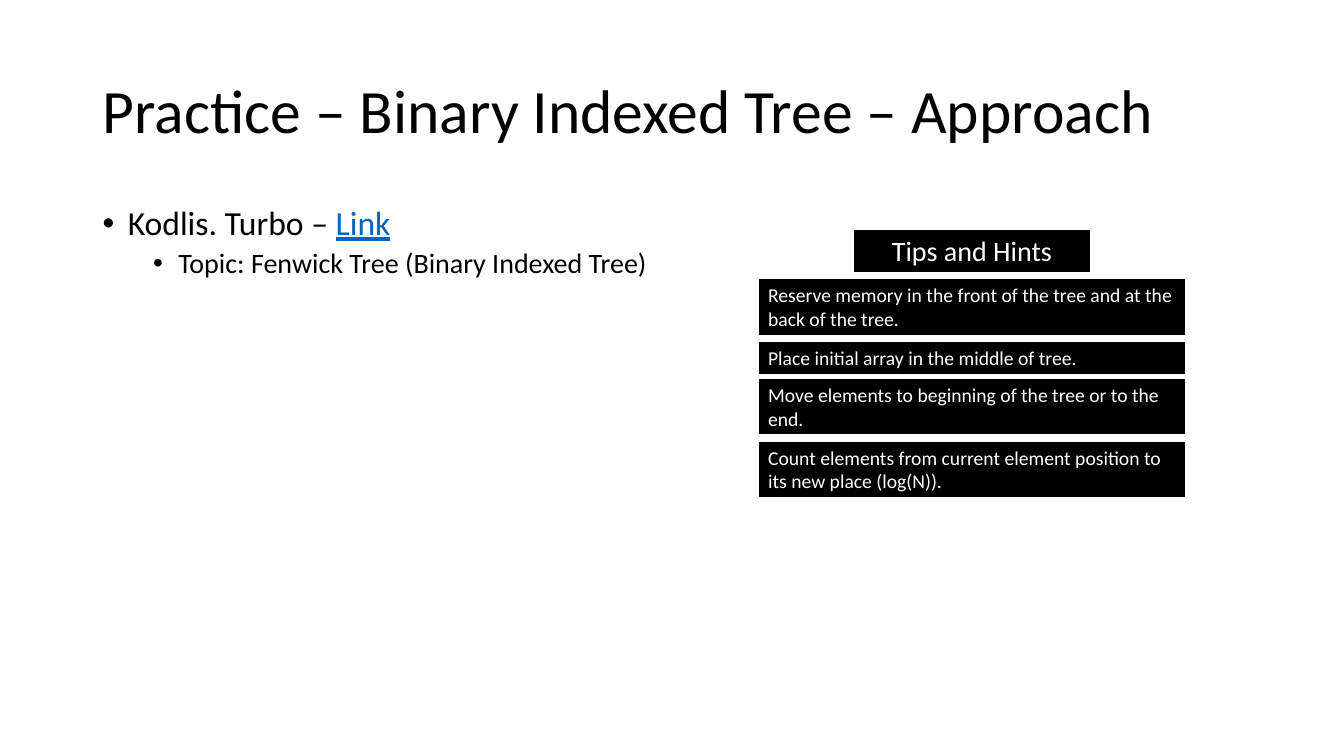
from pptx import Presentation
from pptx.dml.color import RGBColor
from pptx.enum.shapes import MSO_SHAPE as Shape
from pptx.enum.text import MSO_ANCHOR as Anchor, MSO_AUTO_SIZE as AutoSize, PP_ALIGN as Align
from pptx.oxml.ns import qn
from pptx.util import Inches, Pt
from lxml.etree import SubElement

BLACK = RGBColor(0x00, 0x00, 0x00)
WHITE = RGBColor(0xFF, 0xFF, 0xFF)
LINK_BLUE = RGBColor(0x05, 0x63, 0xC1)
FONT = "Calibri"
TITLE_ONLY = 5

# Offset from the top of the panel, height, text
HINTS = [
    (0.49, 0.57, "Reserve memory in the front of the tree and at the back of the tree."),
    (1.11, 0.34, "Place initial array in the middle of tree."),
    (1.48, 0.57, "Move elements to beginning of the tree or to the end."),
    (2.10, 0.57, "Count elements from current element position to its new place (log(N))."),
]


def style_font(font, size, color):
    font.name = FONT
    font.size = Pt(size)
    font.color.rgb = color


def fill_title(title, left, top, width, height):
    title.left, title.top = Inches(left), Inches(top)
    title.width, title.height = Inches(width), Inches(height)
    frame = title.text_frame
    frame.text = "Practice – Binary Indexed Tree – Approach"
    frame.auto_size = AutoSize.NONE
    frame.vertical_anchor = Anchor.MIDDLE
    para = frame.paragraphs[0]
    para.alignment = Align.LEFT
    para.line_spacing = 0.9
    style_font(para.runs[0].font, 44, BLACK)


def format_bullet(para, indent, space_before):
    properties = para._p.get_or_add_pPr()
    properties.set("marL", str(Inches(indent)))
    properties.set("indent", str(Inches(-0.25)))
    SubElement(properties, qn("a:buFont"), typeface="Arial")
    SubElement(properties, qn("a:buChar"), char="•")
    para.line_spacing = 0.9
    para.space_before = Pt(space_before)


def add_problem_list(slide, left, top, width, height):
    box = slide.shapes.add_textbox(Inches(left), Inches(top), Inches(width), Inches(height))
    frame = box.text_frame
    frame.word_wrap = True

    problem = frame.paragraphs[0]
    format_bullet(problem, 0.25, 0)
    for text, color in (("Kodlis. Turbo – ", BLACK), ("Link", LINK_BLUE)):
        span = problem.add_run()
        span.text = text
        style_font(span.font, 24, color)
    span.font.underline = True

    topic = frame.add_paragraph()
    topic.text = "Topic: Fenwick Tree (Binary Indexed Tree)"
    topic.level = 1
    format_bullet(topic, 0.75, 5)
    style_font(topic.runs[0].font, 20, BLACK)


def add_label(slide, left, top, width, height, text, size, alignment):
    box = slide.shapes.add_shape(
        Shape.RECTANGLE, Inches(left), Inches(top), Inches(width), Inches(height))
    box.shadow.inherit = False
    box.fill.solid()
    box.fill.fore_color.rgb = BLACK
    box.line.color.rgb = WHITE
    box.line.width = Pt(1.5)
    frame = box.text_frame
    frame.text = text
    frame.word_wrap = True
    frame.auto_size = AutoSize.SHAPE_TO_FIT_TEXT
    frame.vertical_anchor = Anchor.TOP
    para = frame.paragraphs[0]
    para.alignment = alignment
    style_font(para.runs[0].font, size, WHITE)


def add_hints_panel(slide, left, top, width):
    heading_width = 2.37
    heading_left = left + (width - heading_width) / 2
    add_label(slide, heading_left, top, heading_width, 0.44, "Tips and Hints", 20, Align.CENTER)
    for offset, height, text in HINTS:
        add_label(slide, left, top + offset, width, height, text, 14, Align.LEFT)


def main():
    deck = Presentation()
    deck.slide_width, deck.slide_height = Inches(13.33), Inches(7.5)
    slide = deck.slides.add_slide(deck.slide_layouts[TITLE_ONLY])
    fill_title(slide.shapes.title, 0.92, 0.4, 11.5, 1.45)
    add_problem_list(slide, 0.92, 2, 6.84, 4.76)
    add_hints_panel(slide, 7.52, 2.27, 4.24)
    deck.save("out.pptx")


if __name__ == "__main__":
    main()
